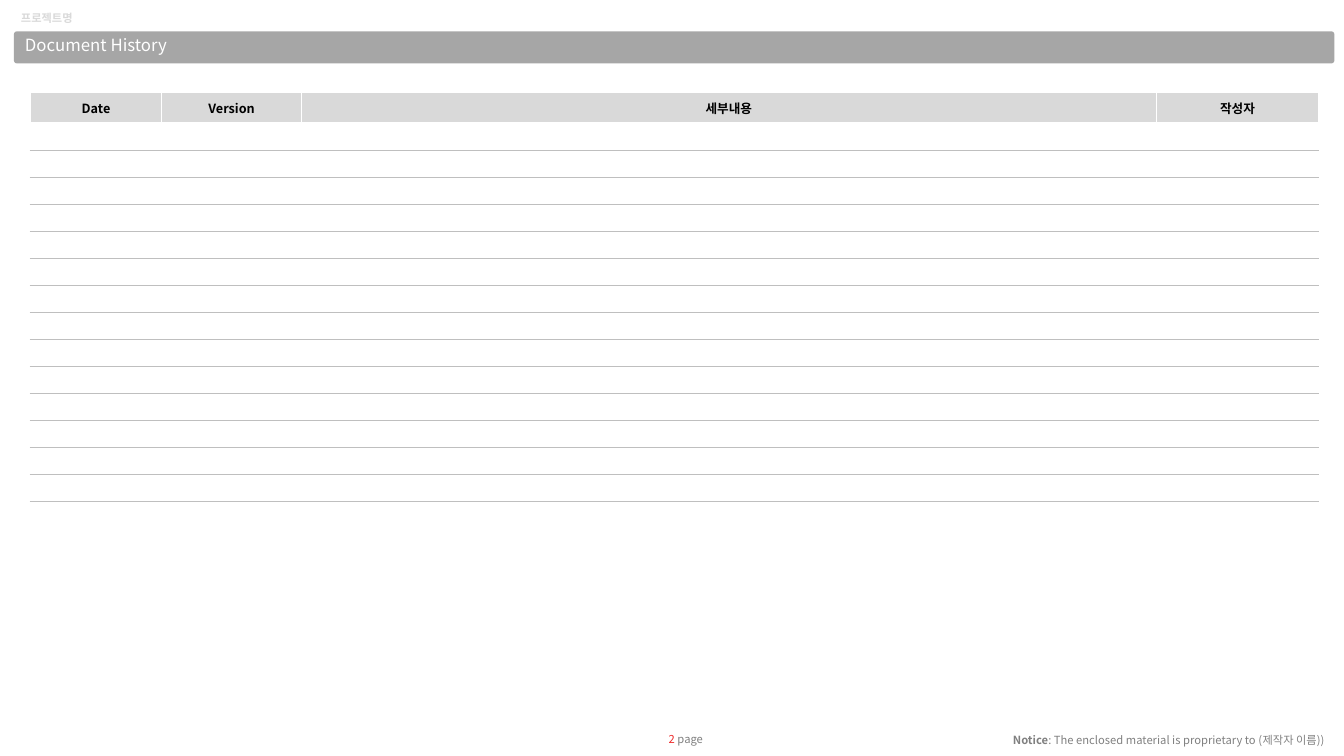
from lxml import etree
from pptx import Presentation
from pptx.dml.color import RGBColor
from pptx.enum.shapes import MSO_SHAPE
from pptx.enum.text import MSO_ANCHOR, MSO_AUTO_SIZE, PP_ALIGN
from pptx.oxml.ns import qn
from pptx.util import Cm, Pt

FONT = "Noto Sans CJK KR"
WHITE = RGBColor(0xFF, 0xFF, 0xFF)
BLACK = RGBColor(0x00, 0x00, 0x00)
RED = RGBColor(0xEE, 0x2B, 0x2B)
GRAY = RGBColor(0x80, 0x80, 0x80)
BAR_GRAY = RGBColor(0xA6, 0xA6, 0xA6)
RULE_GRAY = RGBColor(0xBF, 0xBF, 0xBF)
LIGHT_GRAY = RGBColor(0xD9, 0xD9, 0xD9)

LEFT, CENTER, RIGHT = PP_ALIGN.LEFT, PP_ALIGN.CENTER, PP_ALIGN.RIGHT
TOP, MIDDLE = MSO_ANCHOR.TOP, MSO_ANCHOR.MIDDLE
ROUNDED = MSO_SHAPE.ROUNDED_RECTANGLE
GROW = MSO_AUTO_SIZE.SHAPE_TO_FIT_TEXT

HEADERS = ["Date", "Version", "세부내용", "작성자"]
COLUMN_WIDTHS = [3.32, 3.51, 21.55, 4.09]
BODY_ROWS = 14
HEADER_HEIGHT, ROW_HEIGHT = 0.78, 0.68


class SlideBuilder:
    """Holds the text style and the slide being filled."""

    def __init__(self, slide, font=FONT):
        self.slide = slide
        self.font = font

    def add_run(self, paragraph, text, size, color, bold=False):
        run = paragraph.add_run()
        run.text = text
        run.font.size = Pt(size)
        run.font.bold = bold
        run.font.color.rgb = color
        run.font.name = self.font
        east_asian = etree.SubElement(run.font._element, qn("a:ea"))
        east_asian.set("typeface", self.font)

    def text(self, left, top, width, height, runs, align=LEFT, anchor=TOP,
             inset=True, line_spacing=None):
        shape = self.slide.shapes.add_textbox(Cm(left), Cm(top), Cm(width), Cm(height))
        frame = shape.text_frame
        frame.word_wrap = True
        frame.auto_size = GROW
        frame.vertical_anchor = anchor
        if not inset:
            frame.margin_left = frame.margin_right = 0
            frame.margin_top = frame.margin_bottom = 0
        paragraph = frame.paragraphs[0]
        paragraph.alignment = align
        paragraph.line_spacing = line_spacing
        for run in runs:
            self.add_run(paragraph, *run)

    def bar(self, left, top, width, height, color):
        shape = self.slide.shapes.add_shape(ROUNDED, Cm(left), Cm(top), Cm(width), Cm(height))
        shape.adjustments[0] = 0.1
        shape.shadow.inherit = False
        shape.fill.solid()
        shape.fill.fore_color.rgb = color
        shape.line.fill.background()

    def border(self, cell, side, color, width):
        properties = cell._tc.get_or_add_tcPr()
        line = etree.SubElement(properties, qn(f"a:ln{side}"), w=str(Pt(width)))
        if color is None:
            etree.SubElement(line, qn("a:noFill"))
        else:
            fill = etree.SubElement(line, qn("a:solidFill"))
            etree.SubElement(fill, qn("a:srgbClr"), val=str(color))

    def header_cell(self, cell, label):
        for side in "LRTB":
            self.border(cell, side, WHITE, 1)
        cell.fill.solid()
        cell.fill.fore_color.rgb = LIGHT_GRAY
        cell.vertical_anchor = MIDDLE
        paragraph = cell.text_frame.paragraphs[0]
        paragraph.alignment = CENTER
        paragraph.line_spacing = 1.1
        self.add_run(paragraph, label, 9, BLACK, True)

    def body_cell(self, cell, first_row, first_column, last_column):
        self.border(cell, "L", WHITE if first_column else None, 1)
        self.border(cell, "R", WHITE if last_column else None, 1)
        self.border(cell, "T", *((WHITE, 1) if first_row else (RULE_GRAY, 0.5)))
        self.border(cell, "B", RULE_GRAY, 0.5)
        cell.fill.background()
        cell.margin_top = cell.margin_bottom = 0
        # A small text size keeps the empty row low
        paragraph = cell.text_frame.paragraphs[0]
        etree.SubElement(paragraph._p, qn("a:endParaRPr"), sz="800")

    def history_table(self, left, top):
        height = HEADER_HEIGHT + BODY_ROWS * ROW_HEIGHT
        table = self.slide.shapes.add_table(
            BODY_ROWS + 1, len(HEADERS), Cm(left), Cm(top),
            Cm(sum(COLUMN_WIDTHS)), Cm(height)).table
        table.first_row = table.horz_banding = False
        for column, width in zip(table.columns, COLUMN_WIDTHS):
            column.width = Cm(width)
        for index, row in enumerate(table.rows):
            row.height = Cm(ROW_HEIGHT if index else HEADER_HEIGHT)
            for position, cell in enumerate(row.cells):
                if index == 0:
                    self.header_cell(cell, HEADERS[position])
                else:
                    self.body_cell(cell, index == 1, position == 0,
                                   position == len(HEADERS) - 1)


def main():
    presentation = Presentation()
    presentation.slide_width, presentation.slide_height = Cm(33.87), Cm(19.05)
    slide = presentation.slides.add_slide(presentation.slide_layouts[6])
    builder = SlideBuilder(slide)

    # Footer page number and project name
    builder.text(16.08, 18.46, 1.7, 0.33, [("2 ", 8, RED), ("page ", 8, GRAY)],
                 align=RIGHT, inset=False)
    builder.text(0.28, 0.17, 16.93, 0.6, [("프로젝트명", 8, LIGHT_GRAY, True)])

    # Title bar
    builder.bar(0.35, 0.79, 33.28, 0.81, BAR_GRAY)

    # Footer notice
    builder.text(22.35, 18.36, 11.28, 0.6, [
        ("Notice", 8, GRAY, True),
        (": The enclosed material is proprietary to (제작자 이름))", 8, GRAY),
    ], align=RIGHT)

    # Title
    builder.text(0.38, 0.81, 17.81, 0.71, [("Document History", 12, WHITE)],
                 anchor=MIDDLE, line_spacing=0.9)

    # History table
    builder.history_table(0.76, 2.32)

    presentation.save("out.pptx")


if __name__ == "__main__":
    main()
